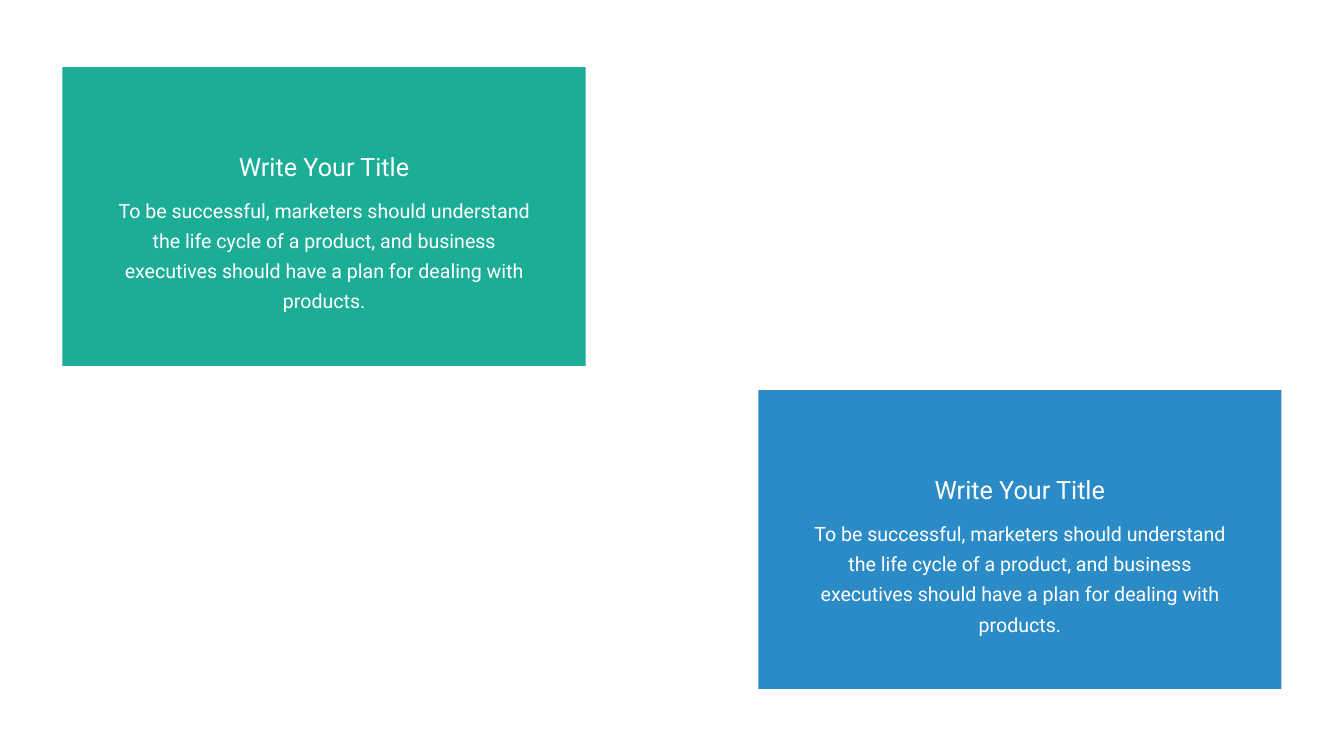
from pptx import Presentation
from pptx.dml.color import RGBColor
from pptx.enum.shapes import MSO_SHAPE
from pptx.enum.text import MSO_AUTO_SIZE, PP_ALIGN
from pptx.util import Inches, Pt

GREEN = RGBColor(0x1C, 0xAD, 0x97)
BLUE = RGBColor(0x2B, 0x8B, 0xC7)
WHITE = RGBColor(0xFF, 0xFF, 0xFF)

MARGIN_X, MARGIN_Y = 4.65, 8.87
CARD_WIDTH, CARD_HEIGHT = 38.93, 39.53
TITLE_WIDTH, TITLE_HEIGHT, TITLE_DROP = 15.72, 4.73, 10.87
BODY_WIDTH, BODY_HEIGHT, BODY_DROP = 33.38, 12.4, 16.27

TITLE = "Write Your Title"
BODY = (
    "To be successful, marketers should understand the life cycle of a product, "
    "and business executives should have a plan for dealing with products."
)


class SlideBuilder:
    font_name = "Roboto"
    text_color = WHITE

    def __init__(self, deck):
        self.deck = deck
        self.page = deck.slides.add_slide(deck.slide_layouts[6])

    def place(self, left, top, width, height):
        across, down = self.deck.slide_width / 100, self.deck.slide_height / 100
        return (round(left * across), round(top * down),
                round(width * across), round(height * down))

    def panel(self, left, top, color):
        box = self.page.shapes.add_shape(
            MSO_SHAPE.RECTANGLE, *self.place(left, top, CARD_WIDTH, CARD_HEIGHT))
        box.shadow.inherit = False
        box.fill.solid()
        box.fill.fore_color.rgb = color
        box.line.fill.background()

    def text(self, group, center, top, width, height, words, size, spacing=None):
        box = group.shapes.add_textbox(
            *self.place(center - width / 2, top, width, height))
        frame = box.text_frame
        frame.word_wrap = True
        frame.auto_size = MSO_AUTO_SIZE.SHAPE_TO_FIT_TEXT
        para = frame.paragraphs[0]
        para.text = words
        para.alignment = PP_ALIGN.CENTER
        para.line_spacing = spacing
        para.font.name = self.font_name
        para.font.size = Pt(size)
        para.font.color.rgb = self.text_color

    def caption(self, left, top):
        group = self.page.shapes.add_group_shape()
        center = left + CARD_WIDTH / 2
        self.text(group, center, top + BODY_DROP, BODY_WIDTH, BODY_HEIGHT,
                  BODY, 28, Pt(43))
        self.text(group, center, top + TITLE_DROP, TITLE_WIDTH, TITLE_HEIGHT,
                  TITLE, 36)


def main():
    deck = Presentation()
    deck.slide_width, deck.slide_height = Inches(26.66), Inches(15)
    builder = SlideBuilder(deck)
    cards = [
        (MARGIN_X, MARGIN_Y, GREEN),
        (100 - MARGIN_X - CARD_WIDTH, 100 - MARGIN_Y - CARD_HEIGHT, BLUE),
    ]
    for left, top, color in cards:
        builder.panel(left, top, color)
    for left, top, _ in cards:
        builder.caption(left, top)
    deck.save("out.pptx")


if __name__ == "__main__":
    main()
